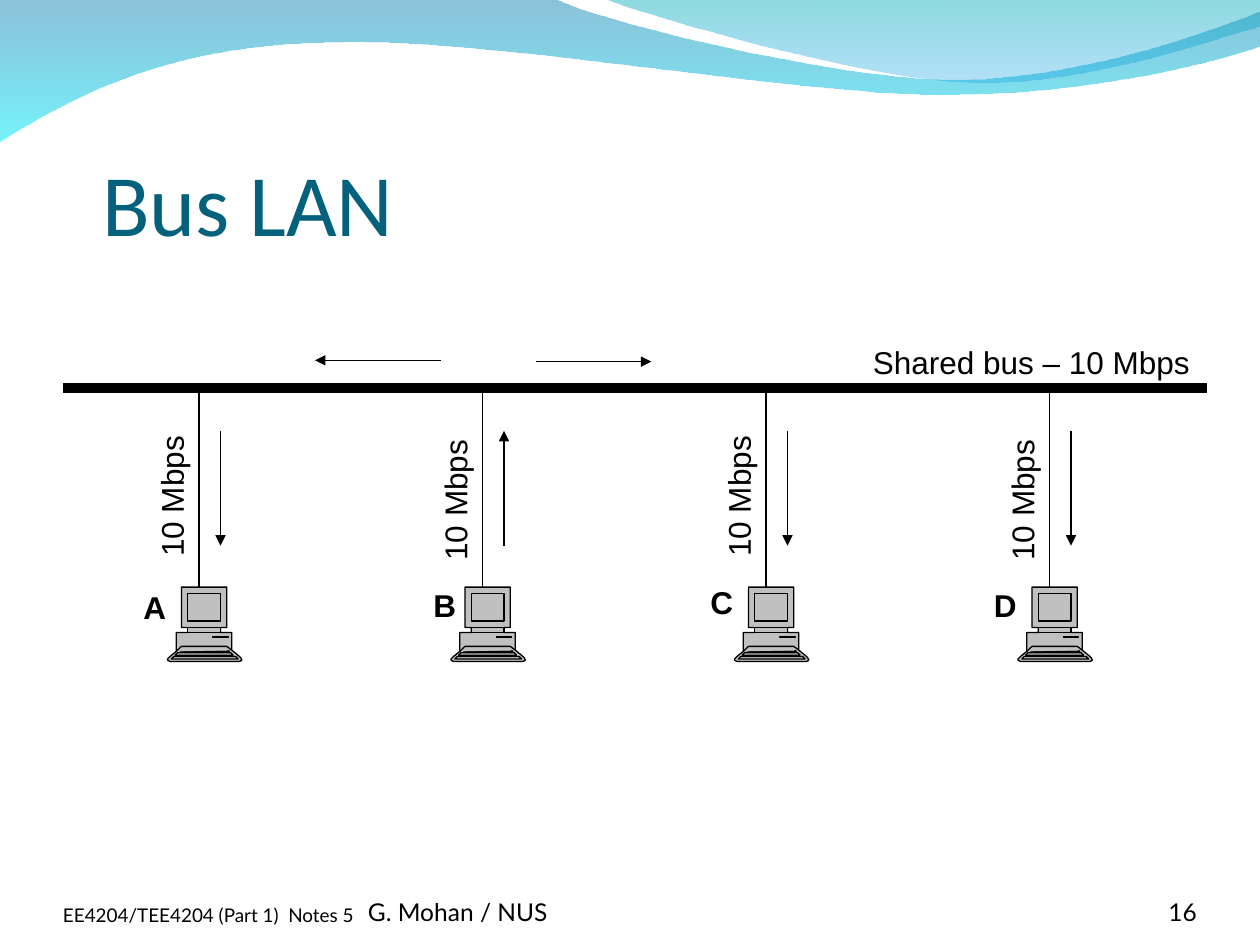
from copy import deepcopy

from pptx import Presentation
from pptx import util as u
from pptx.dml.color import RGBColor
from pptx.enum import shapes, text
from pptx.oxml import ns, parse_xml

BLACK = RGBColor(0x00, 0x00, 0x00)
GREY = RGBColor(0xC0, 0xC0, 0xC0)
TEAL = RGBColor(0x04, 0x61, 0x7B)
DEEP_BLUE = RGBColor(0x00, 0x79, 0xAF)
CYAN = RGBColor(0x00, 0xEB, 0xF8)
SEA_GREEN = RGBColor(0x00, 0xAD, 0xB6)
SKY_BLUE = RGBColor(0x00, 0x9B, 0xE5)

WIDTH, HEIGHT = 10, 7.5
FIRST_COLUMN, COLUMN_STEP = 1.58, 2.25
BUS_ROW, ARROW_TOP, ARROW_BOTTOM, COMPUTER_ROW = 3.08, 3.42, 4.33, 4.66
FOOTER_ROW, FOOTER_HEIGHT = 6.95, 0.4
CURVE_STEPS = 24

STATIONS = [
    ("A", -0.54, 4.62, 3.46, False),
    ("B", -0.49, 4.60, 3.49, True),
    ("C", -0.54, 4.58, 3.46, False),
    ("D", -0.54, 4.60, 3.49, False),
]

COMPUTER_PARTS = [
    ([(57, 55), (51, 50), (51, 36), (42, 36), (42, 32), (47, 32), (47, 0),
      (11, 0), (11, 32), (16, 32), (16, 36), (7, 36), (7, 51), (2, 55),
      (0, 57), (0, 58), (2, 59), (57, 59), (59, 58), (58, 56)], True),
    ([(49, 51), (47, 49), (12, 49), (10, 51)], True),
    ([(52, 54), (50, 52), (8, 52), (6, 54)], True),
    ([(56, 57), (54, 55), (5, 55), (3, 57)], True),
    ([(51, 50), (47, 47), (11, 47), (7, 51)], False),
    ([(36, 39), (36, 40), (48, 40), (48, 39)], True),
    ([(16, 5), (16, 27), (42, 27), (42, 5)], True),
    ([(16, 32), (42, 32), (42, 36), (16, 36)], True),
]

LOWER_WAVE = [
    [(0, -0.01), (4.4, -0.01)],
    [(4.4, -0.01), (4.76, 0.17), (6.64, 0.63), (7.58, 0.63)],
    [(7.58, 0.63), (8.53, 0.63), (9.58, 0.26), (10, 0.09)],
    [(10, 0.09), (10.01, 0.36)],
    [(10.01, 0.36), (9.83, 0.44), (8.7, 0.76), (7.46, 0.75)],
    [(7.46, 0.75), (6.22, 0.75), (3.82, 0.28), (2.57, 0.34)],
    [(2.57, 0.34), (1.29, 0.35), (0.46, 0.83), (-0.01, 1.13)],
]
UPPER_WAVE = [
    [(4.79, -0.01), (5.09, 0.11), (6.82, 0.62), (7.69, 0.65)],
    [(7.69, 0.65), (8.56, 0.69), (9.61, 0.32), (10, 0.21)],
    [(10, 0.21), (10, 0)],
]


def curve_points(controls):
    if len(controls) == 2:
        return controls
    points = []
    for step in range(CURVE_STEPS + 1):
        t = step / CURVE_STEPS
        weights = ((1 - t) ** 3, 3 * t * (1 - t) ** 2, 3 * t ** 2 * (1 - t), t ** 3)
        points.append(tuple(sum(w * point[axis] for w, point in zip(weights, controls))
                            for axis in (0, 1)))
    return points


def add_outline(page, contours, left=0, top=0):
    scaled = [([(u.Inches(x), u.Inches(y)) for x, y in points], closed)
              for points, closed in contours]
    builder = page.shapes.build_freeform(*scaled[0][0][0])
    for index, (points, closed) in enumerate(scaled):
        if index:
            builder.move_to(*points[0])
        builder.add_line_segments(points[1:], close=closed)
    shape = builder.convert_to_shape(u.Inches(left), u.Inches(top))
    shape.shadow.inherit = False
    return shape


def split_contours(shape):
    whole = next(shape.element.iter(ns.qn("a:path")))
    blank = deepcopy(whole)
    for command in list(blank):
        blank.remove(command)
    for command in list(whole):
        if command.tag == ns.qn("a:moveTo"):
            part = deepcopy(blank)
            whole.addprevious(part)
        part.append(command)
    whole.getparent().remove(whole)


def add_wave(page, curves, *stops):
    points = [point for controls in curves for point in curve_points(controls)]
    wave = add_outline(page, [(points, True)])
    wave.line.fill.background()
    wave.fill.gradient()
    wave.fill.gradient_angle = 270
    for stop, (color, opacity) in zip(wave.fill.gradient_stops, stops):
        stop.color.rgb = color
    colors = wave.element.spPr.iter(ns.qn("a:srgbClr"))
    for node, (color, opacity) in zip(colors, stops):
        node.append(parse_xml(f'<a:alpha {ns.nsdecls("a")} val="{opacity * 1000}"/>'))


def add_computer(page, left, top):
    contours = [([(x / 100, y / 100) for x, y in points], closed)
                for points, closed in COMPUTER_PARTS]
    computer = add_outline(page, contours, left, top)
    split_contours(computer)
    computer.fill.solid()
    computer.fill.fore_color.rgb = GREY
    computer.line.color.rgb = BLACK
    computer.line.width = u.Pt(0.75)


def add_line(page, start, end, width=0.75, arrow=False):
    line = page.shapes.add_connector(
        shapes.MSO_CONNECTOR.STRAIGHT, *[u.Inches(value) for value in (*start, *end)])
    line.line.color.rgb = BLACK
    line.line.width = u.Pt(width)
    if arrow:
        line.line._get_or_add_ln().append(
            parse_xml(f'<a:tailEnd {ns.nsdecls("a")} type="triangle"/>'))
    line._element.spPr.append(parse_xml(f'<a:effectLst {ns.nsdecls("a")}/>'))


def write(box, words, font="Arial", size=18, color=BLACK, bold=False,
          align=text.PP_ALIGN.LEFT, anchor=text.MSO_ANCHOR.TOP,
          margins=(0.1, 0.05, 0.1, 0.05), wrap=False, spacing=None):
    frame = box.text_frame
    frame.word_wrap = wrap
    frame.auto_size = text.MSO_AUTO_SIZE.NONE if wrap else text.MSO_AUTO_SIZE.SHAPE_TO_FIT_TEXT
    frame.vertical_anchor = anchor
    (frame.margin_left, frame.margin_top,
     frame.margin_right, frame.margin_bottom) = [u.Inches(value) for value in margins]
    para = frame.paragraphs[0]
    para.alignment = align
    para.line_spacing = spacing
    span = para.add_run()
    span.text = words
    span.font.name = font
    span.font.size = u.Pt(size)
    span.font.bold = bold
    span.font.color.rgb = color


def add_text(page, place, words, **style):
    box = page.shapes.add_textbox(*[u.Inches(value) for value in place])
    write(box, words, **style)
    return box


def add_footer(page, left, width, words, **style):
    add_text(page, (left, FOOTER_ROW, width, FOOTER_HEIGHT), words, font="Lato",
             anchor=text.MSO_ANCHOR.BOTTOM, margins=(0, 0, 0, 0), wrap=True, **style)


def add_title(page, words):
    title = page.shapes.title
    title.left, title.top, title.width, title.height = [
        u.Inches(value) for value in (0.5, 0.77, 9, 1.25)]
    write(title, words, font="Calibri", size=50, color=TEAL, wrap=True,
          anchor=text.MSO_ANCHOR.BOTTOM, margins=(0.31, 0.05, 0, 0))


def add_station(page, column, name, name_shift, name_top, rate_top, sending):
    x = FIRST_COLUMN + column * COLUMN_STEP
    add_computer(page, x - 0.25, COMPUTER_ROW)
    add_line(page, (x, BUS_ROW), (x, COMPUTER_ROW))
    rate = add_text(page, (x - 0.42, rate_top, 0.5, 1.06), "10 Mbps",
                    margins=(0.05, 0.1, 0.05, 0.1))
    rate.rotation = 180
    rate.text_frame._txBody.bodyPr.set("vert", "eaVert")
    ends = [(x + 0.17, ARROW_TOP), (x + 0.17, ARROW_BOTTOM)]
    add_line(page, *(reversed(ends) if sending else ends), arrow=True)
    add_text(page, (x + name_shift, name_top, 0.38, 0.4), name, bold=True)


def main():
    deck = Presentation()
    deck.slide_width, deck.slide_height = u.Inches(WIDTH), u.Inches(HEIGHT)
    page = deck.slides.add_slide(deck.slide_layouts[5])
    add_wave(page, LOWER_WAVE, (DEEP_BLUE, 45), (CYAN, 55))
    add_wave(page, UPPER_WAVE, (SEA_GREEN, 45), (SKY_BLUE, 30))
    add_footer(page, 0.5, 2.33, "EE4204/TEE4204 (Part 1)  Notes 5", size=10.8, spacing=0.8)
    add_footer(page, 2.92, 3.67, "G. Mohan / NUS", size=14)
    add_footer(page, 8.67, 0.83, "16", size=14, align=text.PP_ALIGN.RIGHT)
    add_title(page, "Bus LAN")
    add_line(page, (0.5, BUS_ROW), (9.58, BUS_ROW), width=6)
    add_line(page, (3.5, 2.86), (2.5, 2.86), arrow=True)
    add_line(page, (4.25, 2.87), (5.17, 2.87), arrow=True)
    add_text(page, (6.83, 2.67, 2.8, 0.4), "Shared bus – 10 Mbps", wrap=True)
    for column, station in enumerate(STATIONS):
        add_station(page, column, *station)
    deck.save("out.pptx")


if __name__ == "__main__":
    main()
